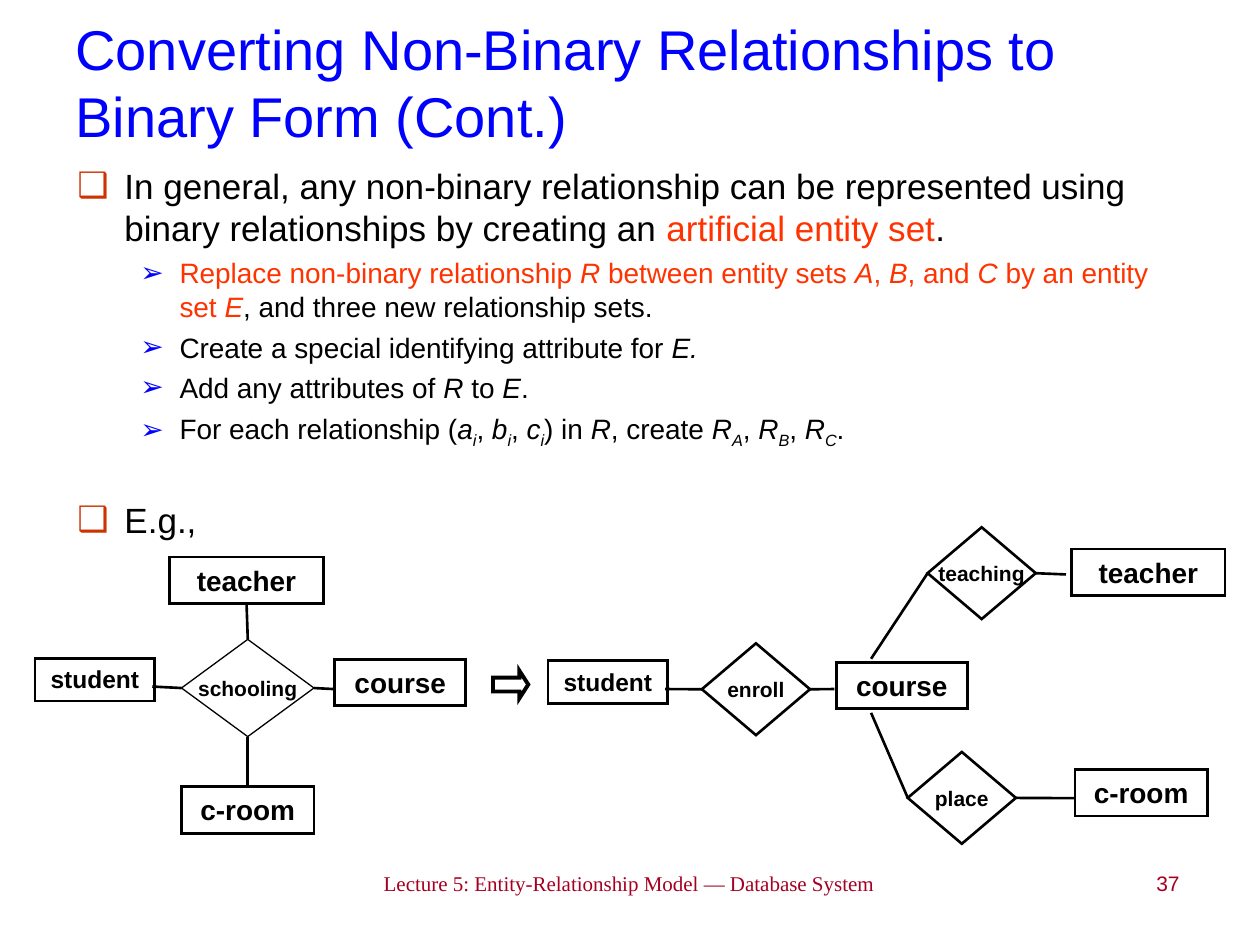
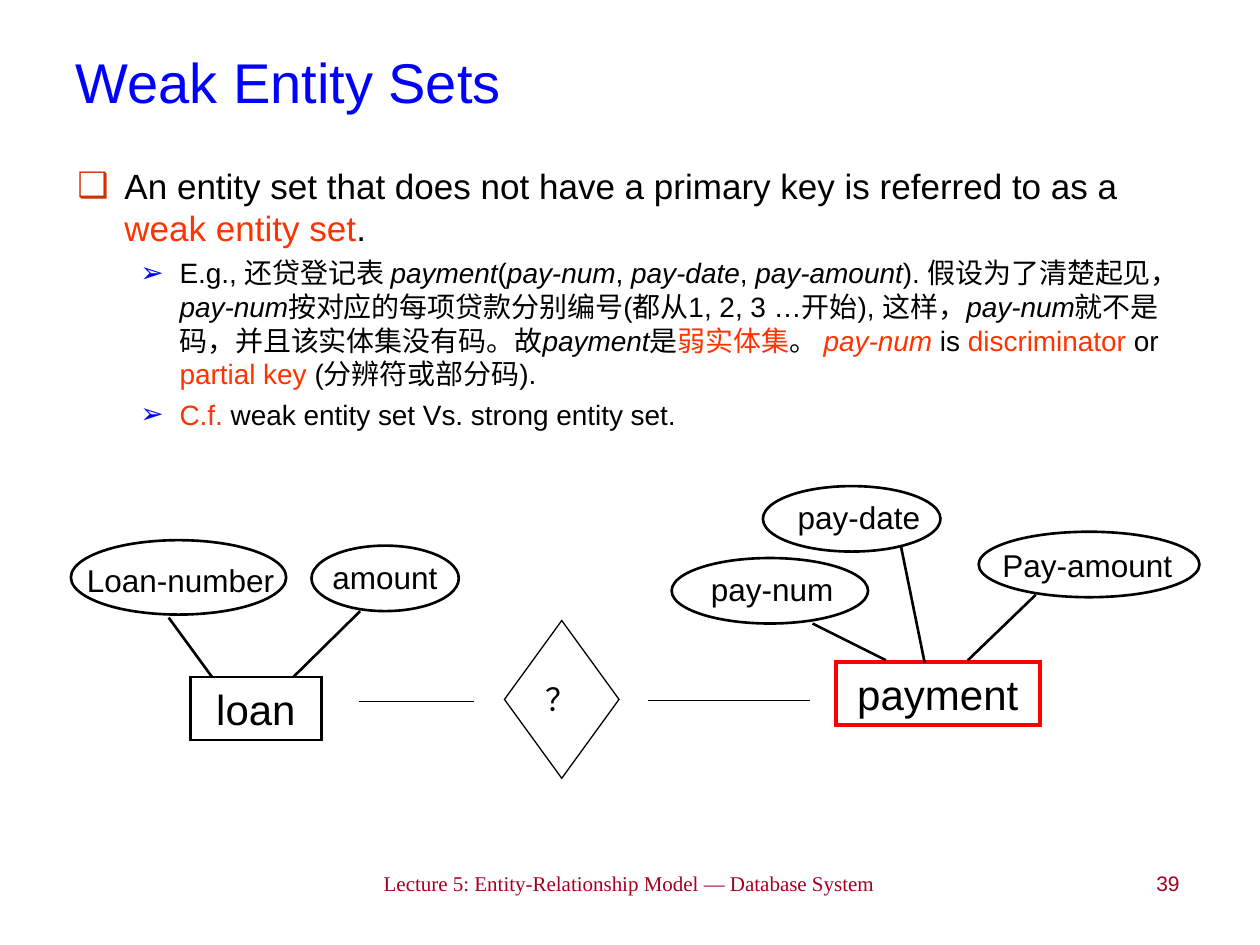
"""Build two lecture slides on binary relationship conversion and weak entity sets."""
from dataclasses import dataclass

import lxml.etree
import pptx
import pptx.dml.color
import pptx.enum.shapes
import pptx.enum.text
import pptx.oxml.ns
import pptx.util

Cm = pptx.util.Cm
Pt = pptx.util.Pt
qn = pptx.oxml.ns.qn
SHAPE = pptx.enum.shapes.MSO_SHAPE
ALIGN = pptx.enum.text.PP_ALIGN
ANCHOR = pptx.enum.text.MSO_ANCHOR
TOP, LEFT, BOTTOM, RIGHT = range(4)


@dataclass(frozen=True)
class Theme:
    ink: str = "000000"
    title: str = "0000FF"
    accent: str = "FF3300"
    footer: str = "A50021"
    weak: str = "FF0000"
    sans: str = "Arial"
    serif: str = "Times New Roman"
    title_size: float = 32
    small: float = 12
    student: float = 14
    entity: float = 16
    attribute: float = 18
    big_entity: float = 24
    thin: float = 0.75
    line: float = 1.5
    heavy: float = 2.25


THEME = Theme()

# level: bullet, bullet colour, text size, left margin, hanging indent, space before
LEVELS = [
    ("❑", "CC3300", 20, 0.95, -0.95, 5),
    ("➢", "0000FF", 16, 2.06, -0.79, 4),
]

FOOTER = "Lecture 5: Entity-Relationship Model — Database System"
FOOTER_BOX = (5.8, 17.42, 13.77, 1.14)
NUMBER_BOX = (20.42, 17.42, 3.61, 1.14)
TITLE_BOX = (1.27, 0.05, 22.86, 3.18)
BODY_BOX = (1.31, 3.2, 22.86, 14.02)

# run styles: r accent colour, i italic, s subscript
CONVERTING = {
    "title": "Converting Non-Binary Relationships to Binary Form (Cont.)",
    "number": "37",
    "body": [
        (0, [("In general, any non-binary relationship can be represented using "
              "binary relationships by creating an ", ""),
             ("artificial entity set", "r"), (".", "")]),
        (1, [("Replace non-binary relationship ", "r"), ("R ", "ri"),
             ("between entity sets ", "r"), ("A", "ri"), (", ", "r"), ("B", "ri"),
             (", and ", "r"), ("C ", "ri"), ("by an entity set ", "r"), ("E", "ri"),
             (", and three new relationship sets.", "")]),
        (1, [("Create a special identifying attribute for ", ""), ("E.", "i")]),
        (1, [("Add any attributes of ", ""), ("R ", "i"), ("to ", ""), ("E", "i"), (".", "")]),
        (1, [("For each relationship (", ""), ("a", "i"), ("i", "is"), (",", ""),
             (" b", "i"), ("i", "is"), (",", ""), (" c", "i"), ("i", "is"), (") in ", ""),
             ("R", "i"), (", create ", ""), ("R", "i"), ("A", "is"), (", ", ""),
             ("R", "i"), ("B", "is"), (", ", ""), ("R", "i"), ("C", "is"), (".", "")]),
        (0, [("E.g.,", "")]),
    ],
}
EXAMPLE_GAP = 28

ENTITY_SIZES = {
    "student": (2.41, 0.86, THEME.student),
    "teacher": (3.1, 0.94, THEME.entity),
    "course": (2.64, 0.94, THEME.entity),
    "c-room": (2.67, 0.94, THEME.entity),
}
ENTITIES = {
    "student": ("student", 0.71, 13.27),
    "teacher": ("teacher", 3.42, 11.23),
    "course": ("course", 6.75, 13.29),
    "c-room": ("c-room", 3.66, 15.86),
    "binary student": ("student", 11.05, 13.32),
    "binary course": ("course", 16.86, 13.35),
    "binary c-room": ("c-room", 21.67, 15.51),
    "binary teacher": ("teacher", 21.6, 11.07),
}
RELATIONSHIPS = {
    "schooling": ((3.66, 12.89, 2.67, 1.96), THEME.thin),
    "enroll": ((14.15, 12.97, 2.18, 1.85), THEME.line),
    "teaching": ((18.7, 10.63, 2.18, 1.85), THEME.line),
    "place": ((18.3, 15.16, 2.18, 1.85), THEME.line),
}
CONVERSION_ARROW = (9.94, 13.52, 0.71, 0.56)

# an end is either (part, side) or (x, y)
CONVERTING_LINKS = [
    (("schooling", RIGHT), (6.71, 13.89)),
    ((3.07, 13.84), ("schooling", LEFT)),
    (("c-room", TOP), ("schooling", BOTTOM)),
    (("schooling", TOP), ("teacher", BOTTOM)),
    (("enroll", RIGHT), (16.82, 13.89)),
    ((13.41, 13.89), ("enroll", LEFT)),
    (("place", LEFT), (17.56, 14.37)),
    ((17.56, 13.28), ("teaching", LEFT)),
    (("place", RIGHT), (21.69, 16.09)),
    (("teaching", RIGHT), (21.49, 11.58)),
]

WEAK = {
    "title": "Weak Entity Sets",
    "number": "39",
    "body": [
        (0, [("An entity set that does not have a primary key is referred to as a ", ""),
             ("weak entity set", "r"), (".", "")]),
        (1, [("E.g., 还贷登记表 ", ""), ("payment", "i"), ("(", ""), ("pay-num", "i"),
             (", ", ""), ("pay-date", "i"), (", ", ""), ("pay-amount", "i"),
             ("). 假设为了清楚起见，", ""), ("pay-num", "i"),
             ("按对应的每项贷款分别编号(都从1, 2, 3 …开始), 这样，", ""), ("pay-num", "i"),
             ("就不是码，并且该实体集没有码。故", ""), ("payment", "i"), ("是", ""),
             ("弱实体集", "r"), ("。 ", ""), ("pay-num", "ri"), (" is ", ""),
             ("discriminator ", "r"), ("or ", ""), ("partial key ", "r"),
             ("(分辨符或部分码).", "")]),
        (1, [("C.f.", "r"), (" weak entity set Vs. strong entity set.", "")]),
    ],
}
WEAK_ENTITIES = [
    ("loan", (3.84, 13.65, 2.64, 1.27), THEME.ink, THEME.line),
    ("payment", (16.85, 13.35, 4.11, 1.27), THEME.weak, THEME.heavy),
]
# attribute: ellipse box, label left, top and width
ATTRIBUTES = [
    ("Loan-number", (1.43, 10.89, 4.34, 1.5), (1.5, 11.18, 4.75)),
    ("amount", (6.28, 11, 2.97, 1.32), (6.45, 11.13, 4.52)),
    ("pay-num", (13.54, 11.25, 3.96, 1.32), (14.08, 11.36, 3.78)),
    ("Pay-amount", (19.73, 10.72, 4.45, 1.32), (19.96, 10.88, 4.52)),
    ("pay-date", (15.38, 9.8, 3.58, 1.32), (15.83, 9.91, 3.28)),
]
LABEL_HEIGHT = 1.02
QUESTION_BOX = (10.17, 12.51, 2.31, 3.18)
ATTRIBUTE_LINKS = [
    ((4.27, 13.64), (3.4, 12.45)),
    ((5.92, 13.64), (7.26, 12.32)),
    ((17.86, 13.31), (16.38, 12.57)),
    ((19.51, 13.31), (20.88, 11.99)),
    ((18.16, 11), (18.64, 13.36)),
]
QUESTION_LINKS = [
    ((7.24, 14.14), (9.55, 14.14)),
    ((13.06, 14.12), (16.33, 14.12)),
]


def rgb(colour):
    return pptx.dml.color.RGBColor.from_string(colour)


def style_font(font, size, colour=THEME.ink, face=THEME.sans, bold=False):
    font.size, font.name, font.bold = Pt(size), face, bold
    font.color.rgb = rgb(colour)


def write(frame, words, size, align=ALIGN.LEFT, anchor=ANCHOR.TOP, wrap=True, **font):
    frame.text = words
    frame.word_wrap, frame.vertical_anchor = wrap, anchor
    frame.paragraphs[0].alignment = align
    style_font(frame.paragraphs[0].runs[0].font, size, **font)


def add_text(slide, box, words, size, **options):
    write(slide.shapes.add_textbox(*map(Cm, box)).text_frame, words, size, **options)


def add_outline(slide, kind, box, width=THEME.line, colour=THEME.ink):
    outline = slide.shapes.add_shape(kind, *map(Cm, box))
    outline.shadow.inherit = False
    outline.fill.background()
    outline.line.color.rgb = rgb(colour)
    outline.line.width = Pt(width)
    stroke = outline._element.spPr.find(qn("a:ln"))
    lxml.etree.SubElement(stroke, qn("a:miter"), lim="800000")
    return outline


def add_diamond(slide, box, words, width, size, bold):
    diamond = add_outline(slide, SHAPE.DIAMOND, box, width)
    write(diamond.text_frame, words, size, ALIGN.CENTER, ANCHOR.MIDDLE, wrap=False, bold=bold)
    return diamond


def add_links(slide, links, parts=None, width=THEME.line):
    for ends in links:
        points = [(0, 0) if isinstance(end[0], str) else map(Cm, end) for end in ends]
        link = slide.shapes.add_connector(
            pptx.enum.shapes.MSO_CONNECTOR.STRAIGHT, *points[0], *points[1])
        for end, join in zip(ends, (link.begin_connect, link.end_connect)):
            if isinstance(end[0], str):
                join(parts[end[0]], end[1])
        link.line.color.rgb = rgb(THEME.ink)
        link.line.width = Pt(width)
        lxml.etree.SubElement(link._element.spPr, qn("a:effectLst"))


def add_bullet(paragraph, level):
    bullet, colour, _, margin, indent, _ = LEVELS[level]
    properties = paragraph._p.get_or_add_pPr()
    properties.set("marL", str(Cm(margin)))
    properties.set("indent", str(Cm(indent)))
    properties.set("hangingPunct", "0")
    bullet_colour = lxml.etree.SubElement(properties, qn("a:buClr"))
    lxml.etree.SubElement(bullet_colour, qn("a:srgbClr"), val=colour)
    lxml.etree.SubElement(properties, qn("a:buFont"), typeface=THEME.sans)
    lxml.etree.SubElement(properties, qn("a:buChar"), char=bullet)


def add_body(slide, points):
    frame = slide.shapes.add_textbox(*map(Cm, BODY_BOX)).text_frame
    frame.word_wrap = True
    for index, (level, runs) in enumerate(points):
        paragraph = frame.add_paragraph() if index else frame.paragraphs[0]
        paragraph.level = level
        add_bullet(paragraph, level)
        if index:
            after_details = level < points[index - 1][0]
            paragraph.space_before = Pt(EXAMPLE_GAP if after_details else LEVELS[level][5])
        for words, style in runs:
            run = paragraph.add_run()
            run.text = words
            style_font(run.font, LEVELS[level][2], THEME.accent if "r" in style else THEME.ink)
            run.font.italic = "i" in style
            if "s" in style:
                run.font._element.set("baseline", "-25000")


def add_lecture_slide(deck, content):
    slide = deck.slides.add_slide(deck.slide_layouts[6])
    add_text(slide, FOOTER_BOX, FOOTER, THEME.small, align=ALIGN.CENTER,
             colour=THEME.footer, face=THEME.serif)
    add_text(slide, NUMBER_BOX, content["number"], THEME.small, align=ALIGN.RIGHT,
             colour=THEME.footer)
    add_text(slide, TITLE_BOX, content["title"], THEME.title_size, anchor=ANCHOR.MIDDLE,
             colour=THEME.title)
    add_body(slide, content["body"])
    return slide


def build_converting(deck):
    slide = add_lecture_slide(deck, CONVERTING)
    parts = {}
    for key, (entity, left, top) in ENTITIES.items():
        width, height, size = ENTITY_SIZES[entity]
        parts[key] = add_outline(slide, SHAPE.RECTANGLE, (left, top, width, height))
        write(parts[key].text_frame, entity, size, ALIGN.CENTER, bold=True)
    for relationship, (box, width) in RELATIONSHIPS.items():
        parts[relationship] = add_diamond(slide, box, relationship, width, THEME.small, True)
    add_links(slide, CONVERTING_LINKS, parts)
    arrow = add_outline(slide, SHAPE.RIGHT_ARROW, CONVERSION_ARROW, THEME.heavy)
    arrow.adjustments[1] = 0.32


def build_weak(deck):
    slide = add_lecture_slide(deck, WEAK)
    for entity, box, colour, width in WEAK_ENTITIES:
        outline = add_outline(slide, SHAPE.RECTANGLE, box, width, colour)
        write(outline.text_frame, entity, THEME.big_entity, ALIGN.CENTER)
    for attribute, box, label in ATTRIBUTES:
        add_outline(slide, SHAPE.OVAL, box)
        add_text(slide, (*label, LABEL_HEIGHT), attribute, THEME.attribute)
    add_diamond(slide, QUESTION_BOX, "？", THEME.thin, THEME.attribute, False)
    add_links(slide, ATTRIBUTE_LINKS)
    add_links(slide, QUESTION_LINKS, width=THEME.thin)


def main():
    deck = pptx.Presentation()
    deck.slide_width, deck.slide_height = Cm(25.4), Cm(19.05)
    build_converting(deck)
    build_weak(deck)
    deck.save("out.pptx")


if __name__ == "__main__":
    main()
